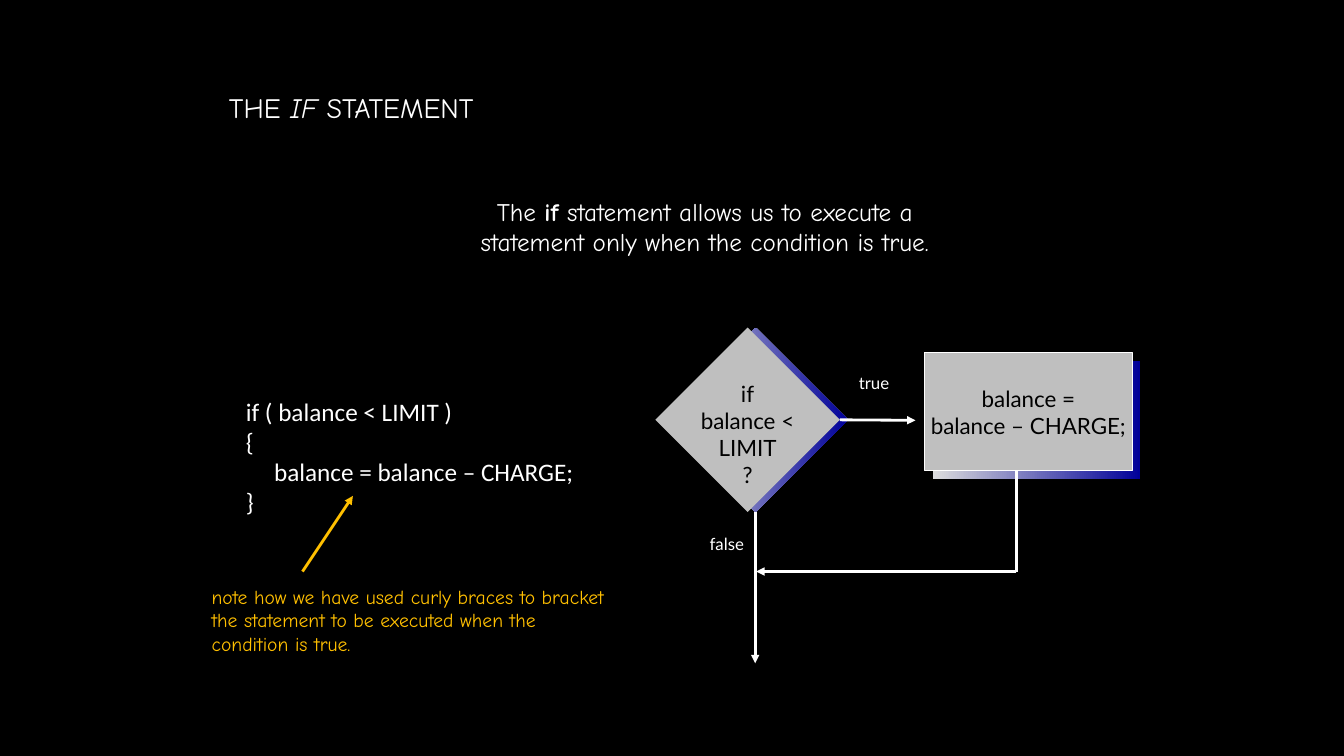
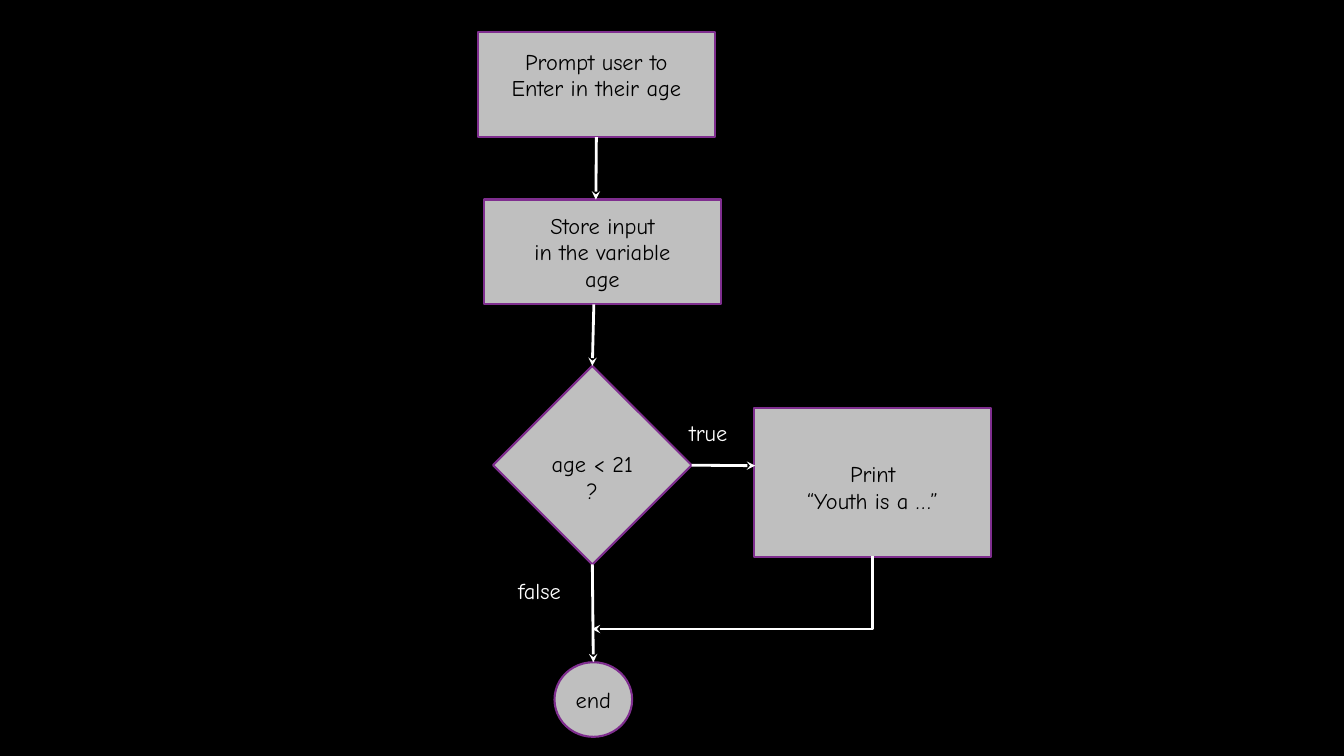
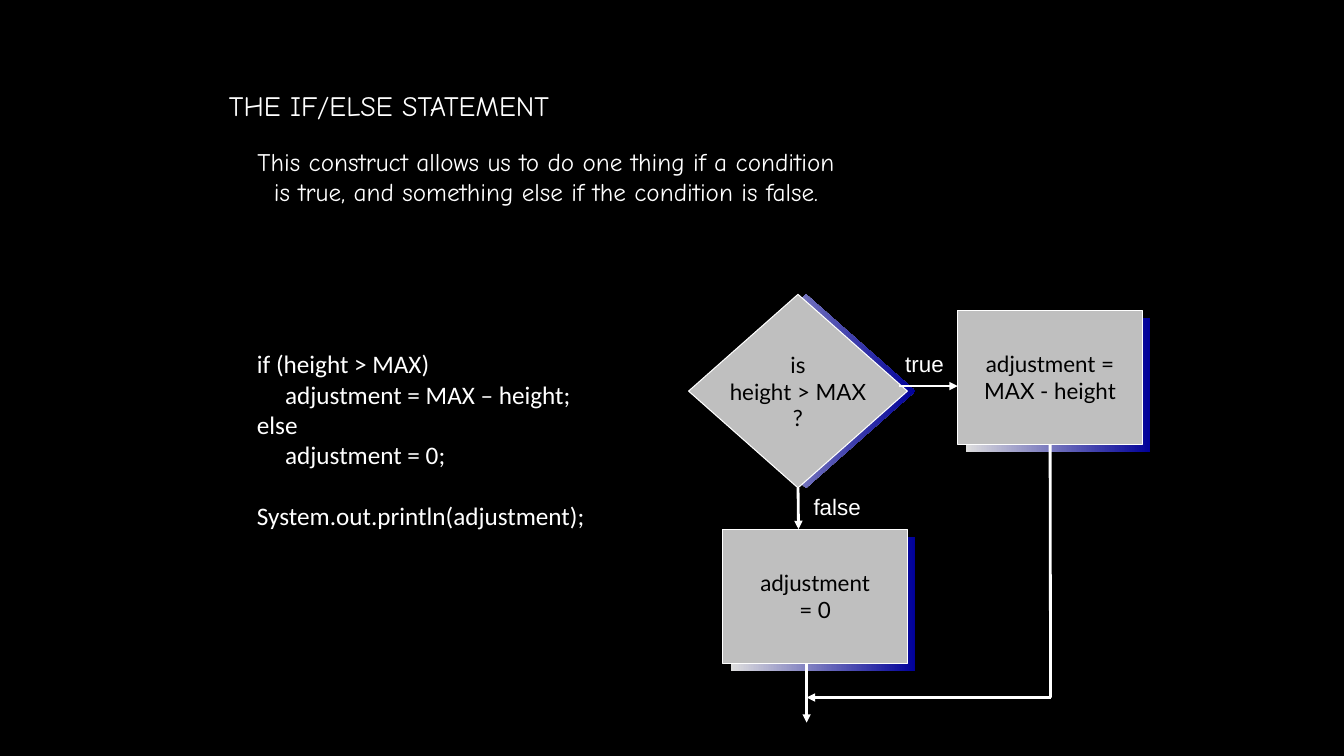
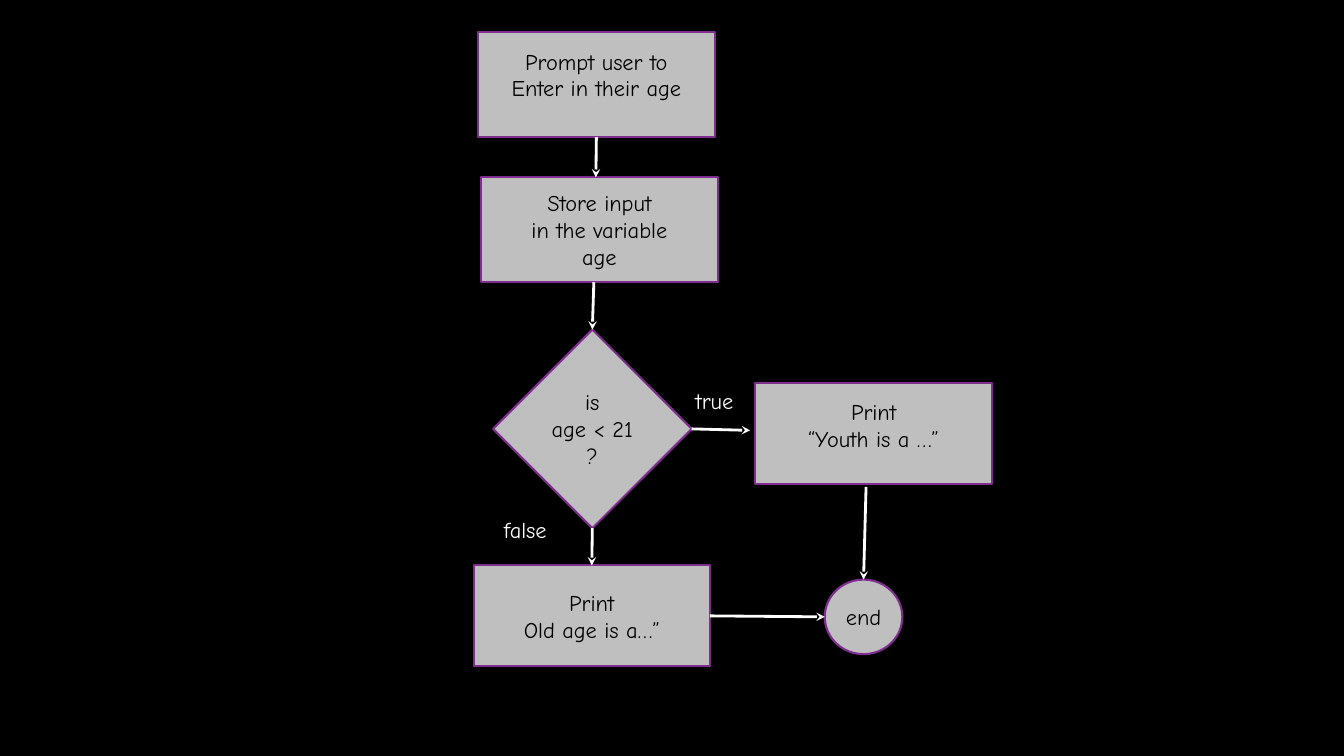
from pptx import Presentation
from pptx.dml.color import RGBColor
from pptx.enum.shapes import MSO_CONNECTOR, MSO_SHAPE
from pptx.enum.text import MSO_ANCHOR, MSO_AUTO_SIZE, PP_ALIGN
from pptx.oxml.ns import qn
from pptx.util import Inches, Pt
from lxml import etree

BLACK = RGBColor(0x00, 0x00, 0x00)
WHITE = RGBColor(0xFF, 0xFF, 0xFF)
GRAY = RGBColor(0xBF, 0xBF, 0xBF)
PALE = RGBColor(0xDD, 0xDD, 0xDD)
NAVY = RGBColor(0x00, 0x00, 0x99)
PURPLE = RGBColor(0x7F, 0x2E, 0x8F)
AMBER = RGBColor(0xFF, 0xC0, 0x00)

HAND, CODE, CHART, PLAIN = "Comic Neue", "Calibri", "Lato", "Arial"

RECT, DIAMOND, OVAL = MSO_SHAPE.RECTANGLE, MSO_SHAPE.DIAMOND, MSO_SHAPE.OVAL
STRAIGHT, ELBOW = MSO_CONNECTOR.STRAIGHT, MSO_CONNECTOR.ELBOW
LEFT, CENTER = PP_ALIGN.LEFT, PP_ALIGN.CENTER
MIDDLE = MSO_ANCHOR.MIDDLE
TOP, BOTTOM, RIGHT = 0, 2, 3  # connection sites

TITLE_ONLY, BLANK = 5, 6
SHADOW_OFFSET = 0.08
CODE_INDENT = 0.28


def write(frame, lines, font, size, color, align):
    """Fill a frame; a line is a string or a list of (text, style) runs."""
    for number, line in enumerate(lines):
        paragraph = frame.paragraphs[0] if number == 0 else frame.add_paragraph()
        paragraph.alignment = align
        for text, style in [(line, "")] if isinstance(line, str) else line:
            run = paragraph.add_run()
            run.text = text
            run.font.name = font
            run.font.size = Pt(size)
            run.font.color.rgb = color
            if style:
                run.font.bold = style == "bold"
                run.font.italic = style == "italic"


class Region:
    """A part of a slide; all places are inches from its top left corner."""

    def __init__(self, slide, left=0, top=0):
        self.shapes = slide.shapes
        self.left, self.top = left, top

    def point(self, x, y):
        return Inches(self.left + x), Inches(self.top + y)

    def text(self, box, lines, font=HAND, size=16, color=WHITE, align=LEFT):
        x, y, width, height = box
        area = self.shapes.add_textbox(*self.point(x, y), Inches(width), Inches(height))
        frame = area.text_frame
        frame.word_wrap = False
        frame.auto_size = MSO_AUTO_SIZE.SHAPE_TO_FIT_TEXT
        write(frame, lines, font, size, color, align)
        return frame

    def outline(self, kind, box):
        x, y, width, height = box
        shape = self.shapes.add_shape(
            kind, *self.point(x, y), Inches(width), Inches(height))
        shape.shadow.inherit = False
        shape.line.fill.background()
        return shape

    def node(self, kind, box, lines, font=HAND, edge=PURPLE, weight=1.5, drop=0):
        """Gray step; drop moves its text down from the middle."""
        shape = self.outline(kind, box)
        shape.fill.solid()
        shape.fill.fore_color.rgb = GRAY
        if edge is not None:
            shape.line.color.rgb = edge
            shape.line.width = Pt(weight)
        frame = shape.text_frame
        frame.word_wrap = False
        frame.vertical_anchor = MIDDLE
        frame.margin_left = frame.margin_right = 0
        frame.margin_top = Inches(max(2 * drop, 0))
        frame.margin_bottom = Inches(max(-2 * drop, 0))
        write(frame, lines, font, 16, BLACK, CENTER)
        return shape

    def shaded_node(self, kind, box, lines, edge=WHITE, drop=0):
        """Step in front of a gradient shape of the same size."""
        x, y, width, height = box
        down = 0 if kind == DIAMOND else SHADOW_OFFSET
        shade = self.outline(kind, (x + SHADOW_OFFSET, y + down, width, height))
        shade.fill.gradient()
        shade.fill.gradient_angle = 0
        for stop, color, position in zip(
                shade.fill.gradient_stops, (PALE, NAVY), (0, 1)):
            stop.color.rgb = color
            stop.position = position
        return self.node(kind, box, lines, CHART, edge, 0.75, drop)

    def style_line(self, line, color, head):
        line.line.color.rgb = color
        line.line.width = Pt(2)
        properties = line._element.spPr
        if head:
            etree.SubElement(properties.find(qn("a:ln")), qn("a:tailEnd"), type=head)
        etree.SubElement(properties, qn("a:effectLst"))

    def arrow(self, start, end, head="triangle", color=WHITE):
        """Straight line; an end is a point or a (shape, site) pair."""
        joined = [not isinstance(tip[0], (int, float)) for tip in (start, end)]
        tips = [self.point(0, 0) if join else self.point(*tip)
                for join, tip in zip(joined, (start, end))]
        line = self.shapes.add_connector(STRAIGHT, *tips[0], *tips[1])
        if joined[0]:
            line.begin_connect(*start)
        if joined[1]:
            line.end_connect(*end)
        self.style_line(line, color, head)

    def down_left_arrow(self, start, end, head):
        """One-bend arrow: a two-part elbow turned by a quarter."""
        across, down = start[0] - end[0], end[1] - start[1]
        x = (start[0] + end[0] - down) / 2
        y = (start[1] + end[1] - across) / 2
        line = self.shapes.add_connector(
            ELBOW, *self.point(x, y), *self.point(x + down, y + across))
        properties = line._element.spPr
        properties.find(qn("a:xfrm")).set("rot", str(90 * 60000))
        properties.find(qn("a:prstGeom")).set("prst", "bentConnector2")
        self.style_line(line, WHITE, head)


def add_title(slide, box, runs):
    title = slide.shapes.title
    title.left, title.top, title.width, title.height = map(Inches, box)
    frame = title.text_frame
    frame.word_wrap = True
    frame.auto_size = MSO_AUTO_SIZE.NONE
    frame.vertical_anchor = MIDDLE
    write(frame, [runs], HAND, 20, WHITE, LEFT)


def add_code(page, box, lines, indented, spaced=()):
    """Code listing; indented and spaced hold line numbers."""
    frame = page.text(box, lines, CODE, 18)
    for number, paragraph in enumerate(frame.paragraphs):
        if number in indented:
            paragraph._p.get_or_add_pPr().set("marL", str(Inches(CODE_INDENT)))
        if number in spaced:
            paragraph.space_before = Pt(22)


def if_flow(flow):
    test = flow.shaded_node(DIAMOND, (0, 0, 1.83, 1.83),
                            ["if", "balance <", "LIMIT", "?"], None, 0.14)
    flow.shaded_node(RECT, (2.67, 0.25, 2.06, 1.17),
                     ["balance =", "balance – CHARGE;"])
    flow.arrow((test, RIGHT), (2.58, 0.92))
    flow.text((1.92, 0.4, 0.5, 0.3), ["true"], CHART, 12)
    flow.arrow((0.99, 1.83), (0.99, 3.33))
    flow.text((0.44, 2, 0.55, 0.3), ["false"], CHART, 12)
    # Way back to the main line
    flow.arrow((3.58, 1.42), (3.58, 2.42), None)
    flow.arrow((3.58, 2.42), (1, 2.42))


def if_else_flow(flow):
    test = flow.shaded_node(DIAMOND, (0, 0, 2.17, 1.92),
                            ["is", "height > MAX", "?"])
    difference = flow.shaded_node(RECT, (2.67, 0.16, 1.83, 1.33),
                                  ["adjustment =", "MAX - height"])
    flow.arrow((2.09, 0.91), (2.67, 0.91))
    flow.shaded_node(RECT, (0.34, 2.33, 1.83, 1.33), ["adjustment", "= 0"])
    flow.arrow((test, BOTTOM), (1.09, 2.33))
    flow.arrow((1.17, 3.66), (1.17, 4.25))
    # Way back to the main line
    flow.arrow((difference, BOTTOM), (3.59, 4), None)
    flow.arrow((3.59, 4), (1.17, 4))
    flow.text((2.05, 0.5, 0.59, 0.37), ["true"], PLAIN)
    flow.text((1.14, 1.92, 0.68, 0.37), ["false"], PLAIN)


def age_input(flow, store_x, store_y, test_y, question, drop):
    """Shared start of the age charts; returns the test."""
    prompt = flow.node(RECT, (0, 0, 2.35, 1.04),
                       ["Prompt user to", "Enter in their age"], drop=-0.1)
    flow.node(RECT, (store_x, store_y, 2.35, 1.04),
              ["Store input", "in the variable", "age"])
    test = flow.node(DIAMOND, (0.15, test_y, 1.97, 1.97), question, drop=drop)
    flow.arrow((prompt, BOTTOM), (1.17, store_y), "stealth")
    flow.arrow((1.15, store_y + 1.04), (test, TOP), "stealth")
    return test


def youth_print(flow, box, drop):
    flow.node(RECT, box, ["Print", "“Youth is a …”"], drop=drop)


def end_circle(flow, x, y):
    return flow.node(OVAL, (x, y, 0.77, 0.74), ["end"])


def branch_labels(flow, true_at, false_at):
    flow.text((*true_at, 0.66, 0.37), ["true"])
    flow.text((*false_at, 0.72, 0.37), ["false"])


def age_if_flow(flow):
    test = age_input(flow, 0.06, 1.66, 3.31, ["age < 21", "?"], 0.12)
    youth_print(flow, (2.74, 3.73, 2.35, 1.48), 0.04)
    end = end_circle(flow, 0.76, 6.25)
    flow.arrow((test, RIGHT), (2.75, 4.3), "stealth")
    flow.arrow((test, BOTTOM), (end, TOP), "stealth")
    flow.down_left_arrow((3.91, 5.2), (1.13, 5.92), "stealth")
    branch_labels(flow, (2, 3.79), (0.3, 5.36))


def age_if_else_flow(flow):
    test = age_input(flow, 0.03, 1.44, 2.95, ["is", "age < 21", "?"], 0)
    youth_print(flow, (2.75, 3.48, 2.35, 1), -0.08)
    old_print = flow.node(RECT, (-0.04, 5.29, 2.34, 1),
                          ["Print", "Old age is a…”"])
    end = end_circle(flow, 3.44, 5.43)
    flow.arrow((test, RIGHT), (2.7, 3.95), "stealth")
    flow.arrow((test, BOTTOM), (old_print, TOP), "stealth")
    flow.arrow((3.85, 4.51), (end, TOP), "stealth")
    flow.arrow((old_print, RIGHT), (3.44, 5.8), "stealth")
    branch_labels(flow, (2.06, 3.47), (0.16, 4.75))


def if_slide(slide):
    add_title(slide, (2.17, 0.67, 3.35, 0.79),
              [("THE ", ""), ("IF", "italic"), (" STATEMENT", "")])
    page = Region(slide)
    page.text((4.41, 1.9, 5.16, 0.71),
              [[("The ", ""), ("if", "bold"),
                (" statement allows us to execute a", "")],
               "statement only when the condition is true."],
              size=18, align=CENTER)
    add_code(page, (2.34, 3.88, 3.5, 1.31),
             ["if ( balance < LIMIT )", "{", "balance = balance – CHARGE;", "}"],
             indented=(2,))
    if_flow(Region(slide, 6.5, 3.25))
    # Note on the braces
    page.text((2, 5.75, 4.48, 0.81),
              ["note how we have used curly braces to bracket",
               "the statement to be executed when the",
               "condition is true."], size=14, color=AMBER)
    page.arrow((3, 5.67), (3.5, 4.92), color=AMBER)


def if_else_slide(slide):
    add_title(slide, (2.17, 0.67, 4.2, 0.74), "THE IF/ELSE STATEMENT")
    page = Region(slide)
    page.text((2.17, 1.4, 6.49, 0.71),
              ["This construct allows us to do one thing if a condition",
               "is true, and something else if the condition is false."],
              size=18, align=CENTER)
    add_code(page, (2.45, 3.41, 3.48, 1.92),
             ["if (height > MAX)", "adjustment = MAX – height;", "else",
              "adjustment = 0;", "System.out.println(adjustment);"],
             indented=(1, 3), spaced=(4,))
    if_else_flow(Region(slide, 6.83, 2.92))


def age_if_slide(slide):
    age_if_flow(Region(slide, 4.74, 0.32))


def age_if_else_slide(slide):
    age_if_else_flow(Region(slide, 4.74, 0.32))


def main():
    deck = Presentation()
    deck.slide_width, deck.slide_height = Inches(13.33), Inches(7.5)
    backdrop = deck.slide_master.background.fill
    backdrop.solid()
    backdrop.fore_color.rgb = BLACK
    for layout, build in ((TITLE_ONLY, if_slide), (BLANK, age_if_slide),
                          (TITLE_ONLY, if_else_slide), (BLANK, age_if_else_slide)):
        build(deck.slides.add_slide(deck.slide_layouts[layout]))
    deck.save("out.pptx")


if __name__ == "__main__":
    main()
